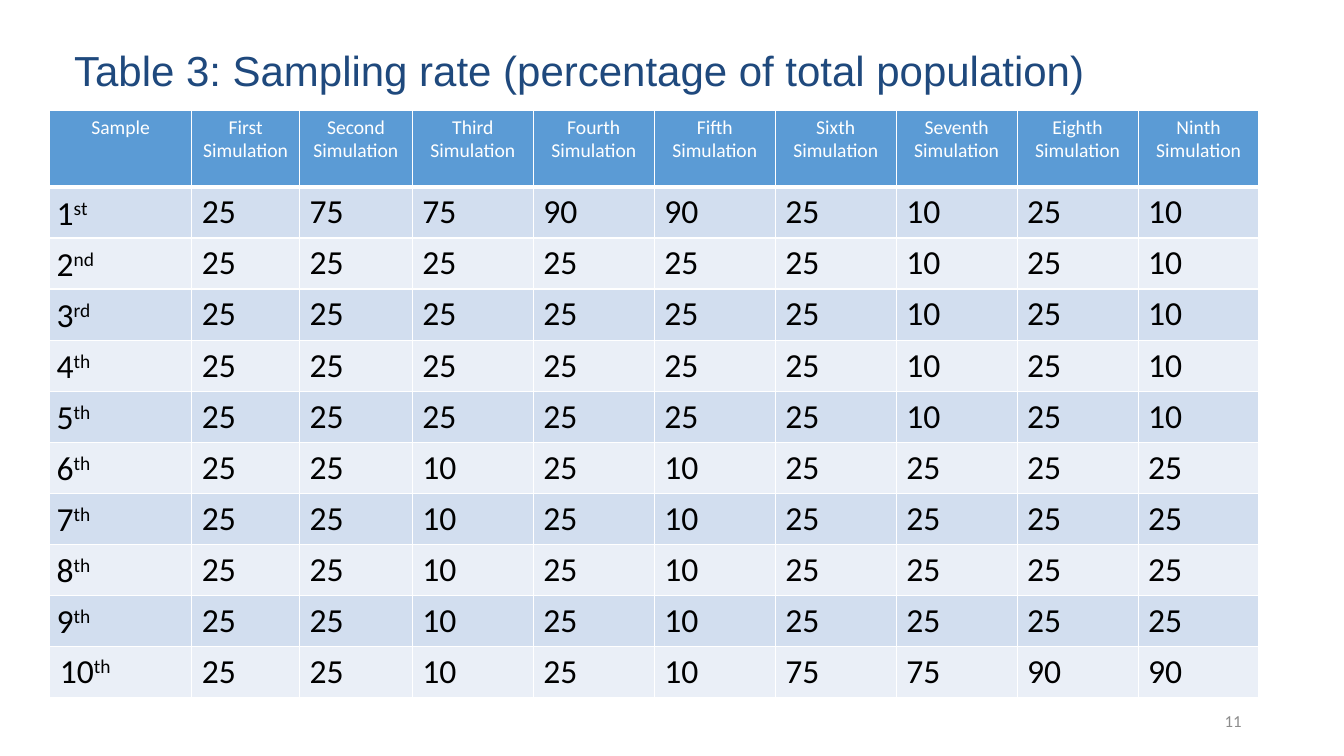
"""Builds the slide with the table of sampling rates in nine simulations."""
from lxml.etree import SubElement
from pptx import Presentation
from pptx.dml.color import RGBColor
from pptx.enum.text import MSO_ANCHOR, PP_ALIGN
from pptx.oxml.ns import qn
from pptx.util import Pt

COLOURS = {
    "title": "1F497D",
    "number": "8C8C8C",
    "header": "5B9BD5",
    "odd": "D2DEEF",
    "even": "EAEFF7",
    "white": "FFFFFF",
    "black": "000000",
}
SIMULATIONS = ["First", "Second", "Third", "Fourth", "Fifth",
               "Sixth", "Seventh", "Eighth", "Ninth"]
SUFFIXES = ["st", "nd", "rd"] + ["th"] * 7
RATES = [
    [25, 75, 75, 90, 90, 25, 10, 25, 10],
    *[[25, 25, 25, 25, 25, 25, 10, 25, 10]] * 4,
    *[[25, 25, 10, 25, 10, 25, 25, 25, 25]] * 4,
    [25, 25, 10, 25, 10, 75, 75, 90, 90],
]
COLUMN_WIDTHS = [101.5, 77, 80.6] + [86.4] * 7
HEADER_HEIGHT = 54.7
ROW_HEIGHT = 36.5


def style_text(para, size, colour, align=PP_ALIGN.LEFT, font="Calibri"):
    para.alignment = align
    for span in para.runs:
        span.font.name = font
        span.font.size = Pt(size)
        span.font.color.rgb = RGBColor.from_string(COLOURS[colour])


def style_cell(cell, fill, top, bottom):
    properties = cell._tc.get_or_add_tcPr()
    for side, width in (("L", 1), ("R", 1), ("T", top), ("B", bottom)):
        border = SubElement(properties, qn(f"a:ln{side}"), w=str(Pt(width)))
        solid = SubElement(border, qn("a:solidFill"))
        SubElement(solid, qn("a:srgbClr"), val=COLOURS["white"])
    cell.fill.solid()
    cell.fill.fore_color.rgb = RGBColor.from_string(COLOURS[fill])


deck = Presentation()
deck.slide_width, deck.slide_height = Pt(960), Pt(540)
page = deck.slides.add_slide(deck.slide_layouts[6])

labels = [
    ("Table 3: Sampling rate (percentage of total population)",
     (0, 0, 828, 104.4), 30, "title", PP_ALIGN.CENTER, "Arial", 0.9),
    ("11", (678, 500.4, 216, 28.8), 12, "number", PP_ALIGN.RIGHT, "Calibri", 1.0),
]
for text, place, size, colour, align, font, spacing in labels:
    box = page.shapes.add_textbox(*map(Pt, place))
    box.text_frame.word_wrap = True
    box.text_frame.vertical_anchor = MSO_ANCHOR.MIDDLE
    para = box.text_frame.paragraphs[0]
    para.text = text
    para.line_spacing = spacing
    style_text(para, size, colour, align, font)

frame = page.shapes.add_table(
    len(RATES) + 1, len(COLUMN_WIDTHS), Pt(35.5), Pt(78.8),
    Pt(sum(COLUMN_WIDTHS)), Pt(HEADER_HEIGHT + ROW_HEIGHT * len(RATES)))
table = frame.table
for column, width in zip(table.columns, COLUMN_WIDTHS):
    column.width = Pt(width)
for row in table.rows:
    row.height = Pt(ROW_HEIGHT)
table.rows[0].height = Pt(HEADER_HEIGHT)

headings = ["Sample"] + [f"{name} Simulation" for name in SIMULATIONS]
for cell, heading in zip(table.rows[0].cells, headings):
    cell.text_frame.text = heading
    style_text(cell.text_frame.paragraphs[0], 14, "white", PP_ALIGN.CENTER)
    style_cell(cell, "header", 1, 3)

for sample, (suffix, rates) in enumerate(zip(SUFFIXES, RATES), start=1):
    for column, value in enumerate([sample] + rates):
        cell = table.cell(sample, column)
        para = cell.text_frame.paragraphs[0]
        para.text = str(value)
        if column == 0:
            ordinal = para.add_run()
            ordinal.text = suffix
            ordinal._r.get_or_add_rPr().set("baseline", "30000")
            if sample < len(RATES):
                cell.vertical_anchor = MSO_ANCHOR.MIDDLE
                cell.margin_left = cell.margin_right = Pt(5)
                cell.margin_top = cell.margin_bottom = Pt(0)
                para.line_spacing = 1.07
        style_text(para, 24, "black")
        style_cell(cell, "odd" if sample % 2 else "even", 3 if sample == 1 else 1, 1)

deck.save("out.pptx")
